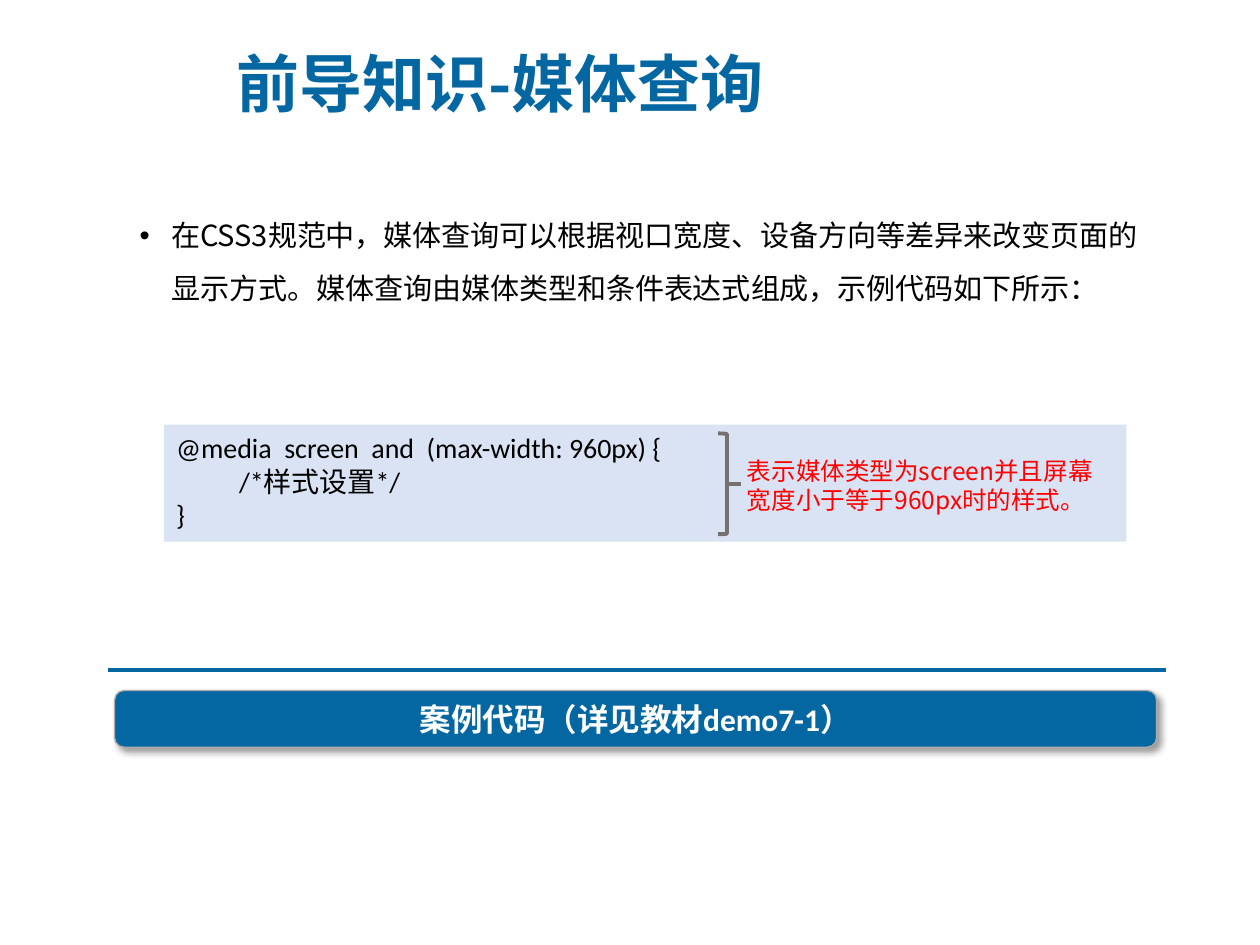
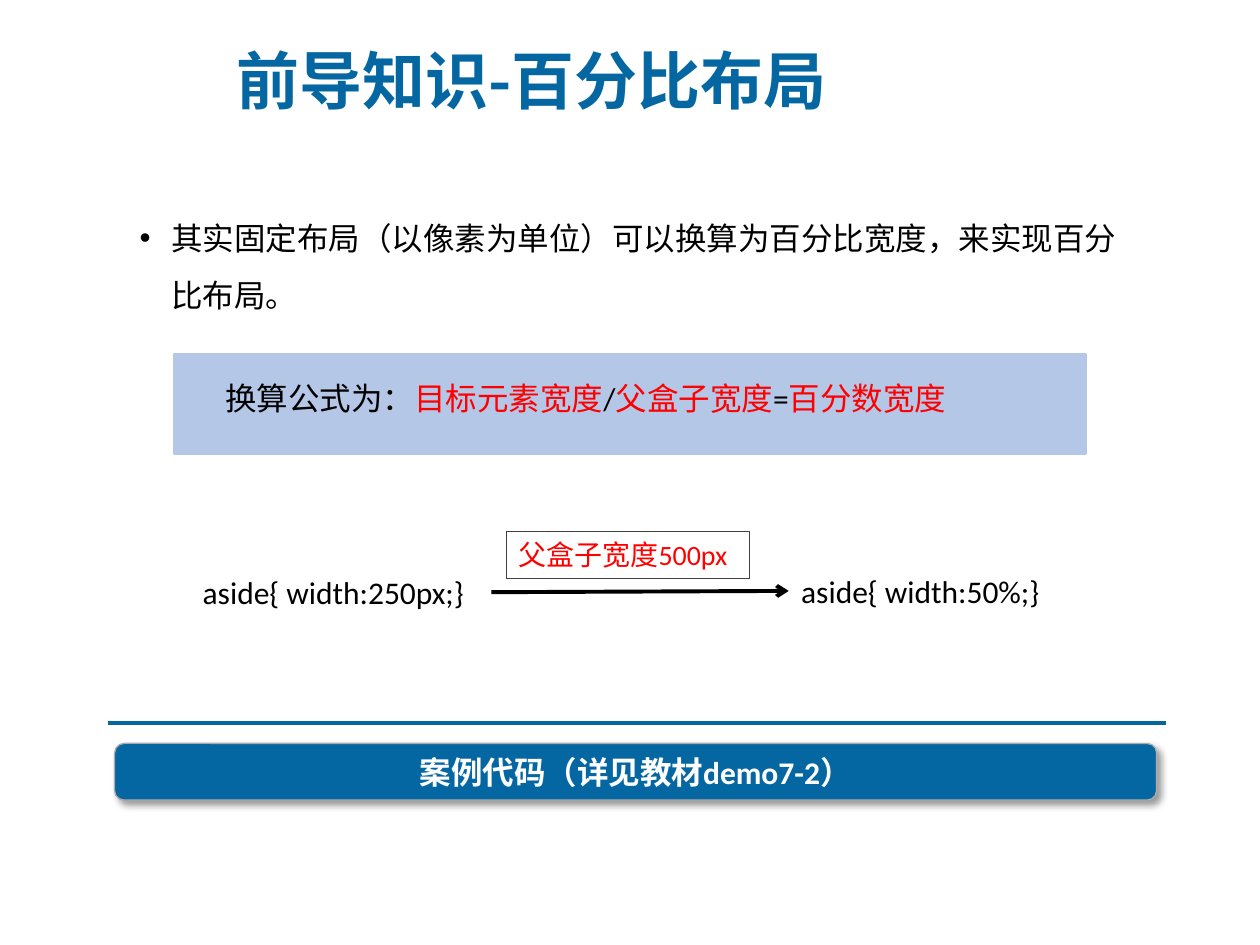
import pptx
import pptx.dml.color
import pptx.enum.shapes
import pptx.enum.text
import pptx.oxml
import pptx.oxml.ns
import pptx.util
from lxml import etree

Inches = pptx.util.Inches
Pt = pptx.util.Pt
qn = pptx.oxml.ns.qn
rgb = pptx.dml.color.RGBColor.from_string
SHAPE = pptx.enum.shapes.MSO_SHAPE
ANCHOR = pptx.enum.text.MSO_ANCHOR

# Shared look
BLUE, RED, BLACK, WHITE = "0567A2", "FF0000", "000000", "FFFFFF"
HAN, LATIN = "Noto Sans CJK SC", "Calibri"


def add_box(slide, place, text="", size=18, font=LATIN, colour=BLACK, bold=False,
            kind=None, fill=None, line=None, line_width=0.75, anchor=ANCHOR.TOP):
    """Add a text box, or a preset shape if kind is given; text is a string or (text, colour) pairs."""
    place = [Inches(value) for value in place]
    if kind is None:
        box = slide.shapes.add_textbox(*place)
    else:
        box = slide.shapes.add_shape(kind, *place)
        box.shadow.inherit = False
    if fill:
        box.fill.solid()
        box.fill.fore_color.rgb = rgb(fill)
    else:
        box.fill.background()
    if line:
        box.line.color.rgb = rgb(line)
        box.line.width = Pt(line_width)
    else:
        box.line.fill.background()

    frame = box.text_frame
    frame.word_wrap = True
    frame.vertical_anchor = anchor
    if isinstance(text, str):
        frame.text = text
    else:
        for piece, piece_colour in text:
            run = frame.paragraphs[0].add_run()
            run.text = piece
            run.font.color.rgb = rgb(piece_colour)
    for paragraph in frame.paragraphs:
        paragraph.alignment = pptx.enum.text.PP_ALIGN.LEFT
        for run in paragraph.runs:
            run.font.size = Pt(size)
            run.font.bold = bold
            run.font.name = font
            if isinstance(text, str):
                run.font.color.rgb = rgb(colour)
            etree.SubElement(run.font._element, qn("a:ea"), typeface=HAN)
    return box


def add_line(slide, start, end, colour, width=2.25):
    ends = [Inches(value) for value in (*start, *end)]
    line = slide.shapes.add_connector(pptx.enum.shapes.MSO_CONNECTOR.STRAIGHT, *ends)
    line.line.color.rgb = rgb(colour)
    line.line.width = Pt(width)
    etree.SubElement(line._element.spPr, qn("a:effectLst"))
    return line


deck = pptx.Presentation()
deck.slide_width, deck.slide_height = Inches(10), Inches(7.5)

# Title, bulleted paragraph, rule and case banner on every slide
pages = [
    ("前导知识-媒体查询", 0.23,
     "在CSS3规范中，媒体查询可以根据视口宽度、设备方向等差异来改变页面的显示方式。"
     "媒体查询由媒体类型和条件表达式组成，示例代码如下所示：",
     16.6, 8.72, "案例代码（详见教材demo7-1）", 5.32),
    ("前导知识-百分比布局", 0.21,
     "其实固定布局（以像素为单位）可以换算为百分比宽度，来实现百分比布局。",
     18, 8.5, "案例代码（详见教材demo7-2）", 5.74),
]
for title, title_top, point, point_size, point_width, case, rule_y in pages:
    slide = deck.slides.add_slide(deck.slide_layouts[6])
    add_box(slide, (1.78, title_top, 8.2, 0.84), title, 36, HAN, BLUE, True,
            anchor=ANCHOR.MIDDLE)

    body = add_box(slide, (0.51, 1.54, point_width, 1.19), point, point_size, HAN)
    paragraph = body.text_frame.paragraphs[0]
    paragraph.line_spacing = 1.5
    paragraph.space_before = Pt(5)
    props = paragraph._p.get_or_add_pPr()
    props.set("marL", str(Inches(0.75)))
    props.set("indent", str(-Inches(0.25)))
    etree.SubElement(props, qn("a:buFont"), typeface="Arial")
    etree.SubElement(props, qn("a:buChar"), char="•")

    add_line(slide, (0.86, rule_y), (9.25, rule_y), BLUE)
    banner = add_box(slide, (0.91, rule_y + 0.16, 8.27, 0.45), case, 18, LATIN, WHITE, True,
                     SHAPE.ROUNDED_RECTANGLE, BLUE, "AFABAB", anchor=ANCHOR.MIDDLE)
    banner.text_frame.paragraphs[0].alignment = pptx.enum.text.PP_ALIGN.CENTER
    effects = banner._element.spPr.find(qn("a:effectLst"))
    shadow = etree.SubElement(effects, qn("a:outerShdw"), blurRad=str(Pt(4)),
                              dist=str(Pt(3)), dir=str(45 * 60000), algn="tl", rotWithShape="0")
    shade = etree.SubElement(shadow, qn("a:srgbClr"), val=BLACK)
    etree.SubElement(shade, qn("a:alpha"), val="40000")

media_query, percent_layout = deck.slides

# Media query: code sample with a bracketed remark
add_box(media_query, (1.3, 3.37, 7.64, 0.93),
        "@media  screen  and  (max-width: 960px) {\n\t/*样式设置*/\n}",
        16, kind=SHAPE.RECTANGLE, fill="DAE3F3")
add_box(media_query, (5.7, 3.44, 0.07, 0.8), kind=SHAPE.RIGHT_BRACKET,
        line="767171", line_width=2.25)
add_line(media_query, (5.78, 3.84), (5.88, 3.84), "767171")
add_box(media_query, (5.83, 3.57, 3.11, 0.57),
        "表示媒体类型为screen并且屏幕宽度小于等于960px时的样式。", 14, HAN, RED)

# Percentage layout: conversion formula
add_box(percent_layout, (1.38, 2.81, 7.24, 0.79), kind=SHAPE.RECTANGLE,
        fill="B4C7E7", line="B4C7E7", line_width=1.5)
add_box(percent_layout, (1.69, 2.96, 6.85, 0.4),
        [("换算公式为：", BLACK), ("目标元素宽度", RED), ("/", BLACK),
         ("父盒子宽度", RED), ("=", BLACK), ("百分数宽度", RED)])

# Percentage layout: pixel width turned into a percentage
add_box(percent_layout, (1.51, 4.5, 2.48, 0.4), "aside{ width:250px;}")
percent_rule = add_box(percent_layout, (6.26, 4.49, 2.28, 0.4), "aside{ width:50%;}")
conversion = add_line(percent_layout, (3.9, 4.7), (6.26, 4.69), BLACK)
conversion.end_connect(percent_rule, 1)
etree.SubElement(conversion.line._get_or_add_ln(), qn("a:tailEnd"), type="arrow")
add_box(percent_layout, (4.02, 4.22, 1.93, 0.37), "父盒子宽度500px", 16, colour=RED,
        kind=SHAPE.RECTANGLE, line="404040")

deck.save("out.pptx")
